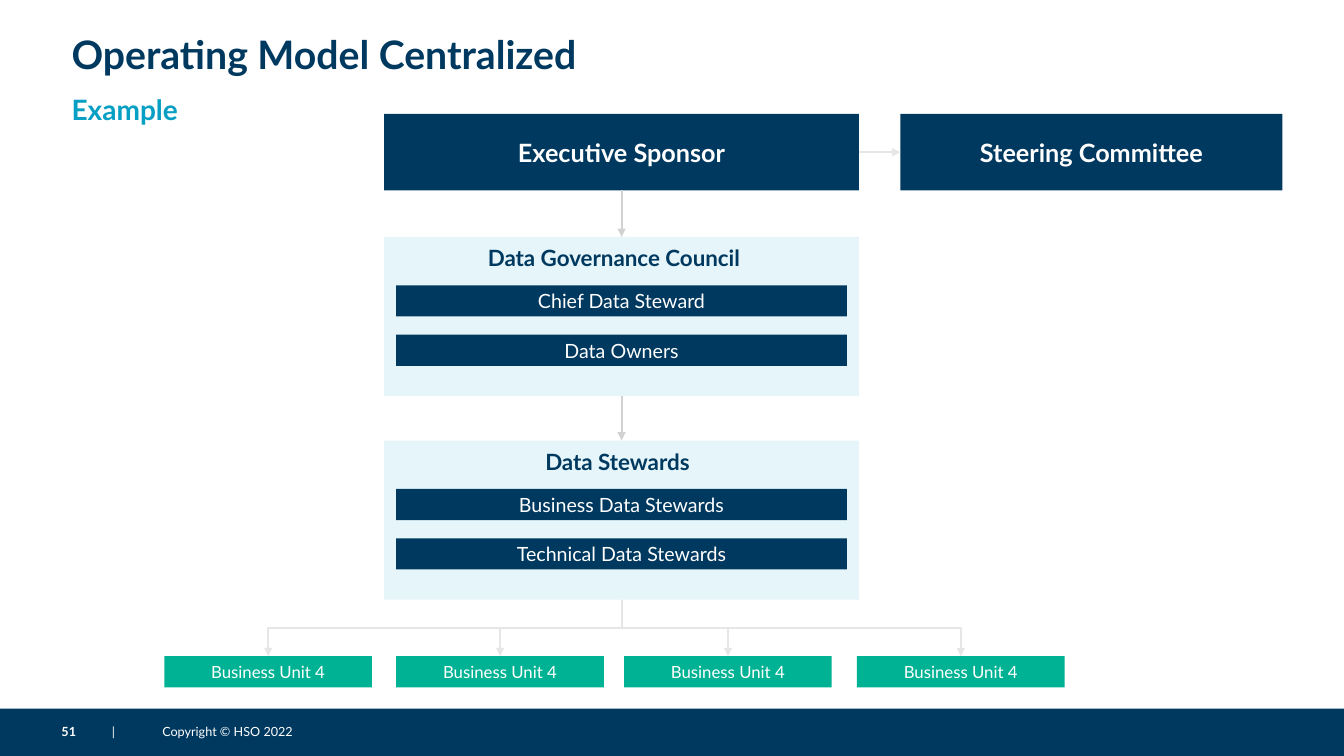
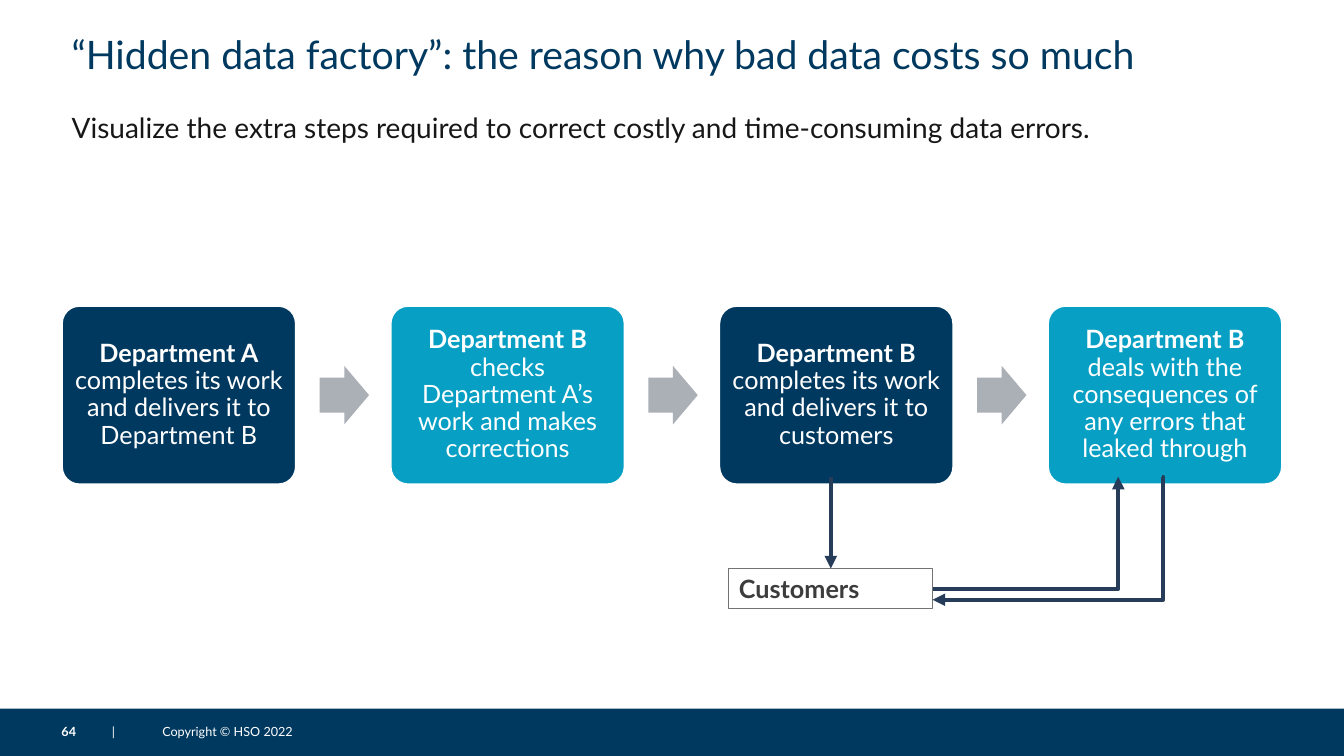
from dataclasses import dataclass
from typing import Optional

from lxml.etree import SubElement
from pptx import Presentation
from pptx.dml.color import RGBColor
from pptx.enum.shapes import MSO_CONNECTOR, MSO_SHAPE
from pptx.enum.text import MSO_ANCHOR, MSO_AUTO_SIZE, PP_ALIGN
from pptx.oxml.ns import qn
from pptx.presentation import Presentation as Deck
from pptx.shapes.autoshape import Shape
from pptx.shapes.connector import Connector
from pptx.slide import Slide
from pptx.text.text import TextFrame
from pptx.util import Inches, Pt

NAVY = RGBColor(0x00, 0x39, 0x5F)
CYAN = RGBColor(0x07, 0x9F, 0xC3)
GREEN = RGBColor(0x00, 0xB2, 0x94)
PALE_BLUE = RGBColor(0xE5, 0xF5, 0xF9)
WHITE = RGBColor(0xFF, 0xFF, 0xFF)
INK = RGBColor(0x17, 0x17, 0x17)
CHARCOAL = RGBColor(0x3C, 0x3C, 0x3C)
FRAME_GREY = RGBColor(0x73, 0x73, 0x73)
ARROW_GREY = RGBColor(0xAB, 0xAF, 0xB6)
LIGHT_GREY = RGBColor(0xE6, 0xE6, 0xE6)
MID_GREY = RGBColor(0xD2, 0xD2, 0xD2)
SLATE = RGBColor(0x26, 0x3C, 0x59)
FONT = "Lato"
LEFT_EDGE = 0.61
TOP, LEFT, BOTTOM, RIGHT = range(4)


@dataclass(frozen=True)
class Box:
    """A rectangle on the slide, in inches."""

    left: float
    top: float
    width: float
    height: float


@dataclass(frozen=True)
class Panel:
    """A group of roles under one heading."""

    heading: str
    heading_left: float
    top: float
    roles: tuple[str, ...]


@dataclass(frozen=True)
class Step:
    """A step of the process, with its department in bold."""

    department: str
    action: str
    color: RGBColor


PANELS = (
    Panel("Data Governance Council", 4.74, 2.35, ("Chief Data Steward", "Data Owners")),
    Panel("Data Stewards", 5.31, 4.37, ("Business Data Stewards", "Technical Data Stewards")),
)
UNIT_LEFTS = (1.63, 3.93, 6.19, 8.5)
STEPS = (
    Step("Department A", " completes its work and delivers it to Department B", NAVY),
    Step("Department B", " checks Department A’s work and makes corrections", CYAN),
    Step("Department B", " completes its work and delivers it to customers", NAVY),
    Step("Department B", " deals with the consequences of any errors that leaked through", CYAN),
)


def place(shape: Shape, box: Box) -> None:
    """Move and size a shape."""
    shape.left, shape.top = Inches(box.left), Inches(box.top)
    shape.width, shape.height = Inches(box.width), Inches(box.height)


def write(frame: TextFrame, text: str, *, size: float, color: RGBColor, lead: str = "",
          bold: bool = False, align: PP_ALIGN = PP_ALIGN.LEFT,
          anchor: MSO_ANCHOR = MSO_ANCHOR.MIDDLE, margins: tuple[float, float] = (0.1, 0.05),
          spacing: float = 1.0, tabs: tuple[float, ...] = ()) -> None:
    """Fill a frame with one paragraph, optionally led by bold words."""
    frame.word_wrap = True
    frame.auto_size = MSO_AUTO_SIZE.NONE
    frame.vertical_anchor = anchor
    frame.margin_left = frame.margin_right = Inches(margins[0])
    frame.margin_top = frame.margin_bottom = Inches(margins[1])
    paragraph = frame.paragraphs[0]
    properties = paragraph._p.get_or_add_pPr()
    properties.set("marL", "0")
    properties.set("indent", "0")
    SubElement(properties, qn("a:buNone"))
    if tabs:
        stops = SubElement(properties, qn("a:tabLst"))
        for position in tabs:
            SubElement(stops, qn("a:tab"), pos=str(Inches(position)), algn="l")
    paragraph.alignment = align
    paragraph.line_spacing = spacing
    paragraph.space_before = Pt(0)
    for words, is_bold in ((lead, True), (text, bold)):
        if words:
            run = paragraph.add_run()
            run.text = words
            run.font.name = FONT
            run.font.size = Pt(size)
            run.font.bold = is_bold
            run.font.color.rgb = color


def add_block(slide: Slide, box: Box, fill: Optional[RGBColor],
              kind: MSO_SHAPE = MSO_SHAPE.RECTANGLE, line: Optional[RGBColor] = None,
              line_width: float = 1) -> Shape:
    """Draw a flat preset shape."""
    block = slide.shapes.add_shape(kind, 0, 0, 0, 0)
    place(block, box)
    block.shadow.inherit = False
    if fill is None:
        block.fill.background()
    else:
        block.fill.solid()
        block.fill.fore_color.rgb = fill
    if line is None:
        block.line.fill.background()
    else:
        block.line.color.rgb = line
        block.line.width = Pt(line_width)
    return block


def add_label_block(slide: Slide, box: Box, text: str, fill: RGBColor, size: float,
                    bold: bool = False) -> Shape:
    """Draw a filled rectangle with centred white text."""
    block = add_block(slide, box, fill)
    write(block.text_frame, text, size=size, color=WHITE, bold=bold,
          align=PP_ALIGN.CENTER, margins=(0.12, 0.02))
    return block


def add_text(slide: Slide, box: Box, text: str, **style) -> None:
    """Add a text box."""
    label = slide.shapes.add_textbox(0, 0, 0, 0)
    place(label, box)
    write(label.text_frame, text, **style)


def add_arrow(slide: Slide, start: tuple[float, float], end: tuple[float, float],
              color: RGBColor, width: float, kind: MSO_CONNECTOR = MSO_CONNECTOR.STRAIGHT,
              bend: Optional[int] = None) -> Connector:
    """Draw a connector with a triangle at its end."""
    arrow = slide.shapes.add_connector(kind, *(Inches(value) for value in (*start, *end)))
    arrow.line.color.rgb = color
    arrow.line.width = Pt(width)
    properties = arrow._element.spPr
    SubElement(properties.find(qn("a:ln")), qn("a:tailEnd"), type="triangle")
    SubElement(properties, qn("a:effectLst"))
    if bend is not None:
        adjustments = properties.find(qn("a:prstGeom")).find(qn("a:avLst"))
        SubElement(adjustments, qn("a:gd"), name="adj1", fmla=f"val {bend}")
    return arrow


def join(slide: Slide, source: Shape, source_side: int, target: Shape, target_side: int,
         color: RGBColor) -> None:
    """Join two blocks with a straight arrow."""
    arrow = add_arrow(slide, (0, 0), (1, 1), color, 1.5)
    arrow.begin_connect(source, source_side)
    arrow.end_connect(target, target_side)


def add_branch(slide: Slide, start: tuple[float, float], end: tuple[float, float]) -> None:
    """Draw an elbow arrow that leaves and arrives vertically."""
    run, drop = end[0] - start[0], end[1] - start[1]
    middle_x, middle_y = start[0] + run / 2, start[1] + drop / 2
    half_drop = drop / 2 if run > 0 else -drop / 2
    branch = add_arrow(slide, (middle_x + half_drop, middle_y - abs(run) / 2),
                       (middle_x - half_drop, middle_y + abs(run) / 2),
                       LIGHT_GREY, 1.5, MSO_CONNECTOR.ELBOW)
    degrees = 270 if run > 0 else 90
    branch._element.spPr.find(qn("a:xfrm")).set("rot", str(degrees * 60000))


def start_slide(deck: Deck, title: str, number: int, bold: bool = False) -> Slide:
    """Add a slide with its title and footer band."""
    slide = deck.slides.add_slide(deck.slide_layouts[1])
    add_block(slide, Box(0, 7.03, 13.33, 0.47), NAVY)
    add_text(slide, Box(LEFT_EDGE, 7.18, 2.4, 0.15), "\t|\tCopyright © HSO 2022",
             lead=str(number), size=9, color=WHITE, margins=(0, 0), tabs=(0.24, 0.4))
    place(slide.shapes.title, Box(LEFT_EDGE, 0.26, 12.11, 0.55))
    write(slide.shapes.title.text_frame, title, size=28, color=NAVY, bold=bold,
          margins=(0.1, 0.04))
    return slide


def write_body(slide: Slide, box: Box, text: str, **style) -> None:
    """Place and fill the body placeholder."""
    body = slide.placeholders[1]
    place(body, box)
    write(body.text_frame, text, size=20, anchor=MSO_ANCHOR.TOP, **style)


def add_panel(slide: Slide, panel: Panel) -> Shape:
    """Draw a panel with its heading and role bars."""
    background = add_block(slide, Box(3.81, panel.top, 4.71, 1.58), PALE_BLUE)
    add_text(slide, Box(panel.heading_left, panel.top + 0.02, 2.84, 0.37), panel.heading,
             size=16, color=NAVY, bold=True)
    for index, role in enumerate(panel.roles):
        bar = Box(3.93, panel.top + 0.48 + index * 0.49, 4.47, 0.31)
        add_label_block(slide, bar, role, NAVY, 14)
    return background


def build_operating_model(deck: Deck) -> None:
    """Build the organisation chart."""
    slide = start_slide(deck, "Operating Model Centralized", 51, bold=True)
    write_body(slide, Box(LEFT_EDGE, 0.8, 3, 0.47), "Example", color=CYAN, bold=True,
               spacing=1.2)
    sponsor = add_label_block(slide, Box(3.81, 1.13, 4.71, 0.76), "Executive Sponsor",
                              NAVY, 18, bold=True)
    committee = add_label_block(slide, Box(8.93, 1.13, 3.79, 0.76), "Steering Committee",
                                NAVY, 18, bold=True)
    council, stewards = (add_panel(slide, panel) for panel in PANELS)
    for left in UNIT_LEFTS:
        add_label_block(slide, Box(left, 6.51, 2.06, 0.31), "Business Unit 4", GREEN, 12)
        add_branch(slide, (6.17, 5.95), (left + 1.03, 6.51))
    join(slide, sponsor, RIGHT, committee, LEFT, LIGHT_GREY)
    join(slide, sponsor, BOTTOM, council, TOP, MID_GREY)
    join(slide, council, BOTTOM, stewards, TOP, MID_GREY)


def build_hidden_factory(deck: Deck) -> None:
    """Build the process with its customer loop."""
    slide = start_slide(
        deck, "“Hidden data factory”: the reason why bad data costs so much", 64)
    write_body(slide, Box(LEFT_EDGE, 1.06, 12.11, 0.6),
               "Visualize the extra steps required to correct costly and "
               "time-consuming data errors.", color=INK, margins=(0.1, 0.04))
    for index, step in enumerate(STEPS):
        left = LEFT_EDGE + index * 3.26
        card = add_block(slide, Box(left, 3.03, 2.33, 1.78), step.color,
                         MSO_SHAPE.ROUNDED_RECTANGLE, WHITE, 2)
        card.adjustments[0] = 0.1
        write(card.text_frame, step.action, lead=step.department, size=18, color=WHITE,
              align=PP_ALIGN.CENTER, margins=(0.07, 0.07), spacing=0.9)
        if index < len(STEPS) - 1:
            pointer = add_block(slide, Box(left + 2.56, 3.63, 0.49, 0.58), ARROW_GREY,
                                MSO_SHAPE.RIGHT_ARROW)
            pointer.adjustments[0] = 0.6
    customers = add_block(slide, Box(7.23, 5.64, 2.02, 0.4), None, line=FRAME_GREY,
                          line_width=0.75)
    write(customers.text_frame, "Customers", size=18, color=CHARCOAL, bold=True)
    delivery = add_arrow(slide, (8.24, 4.73), (8.24, 5.64), SLATE, 3)
    delivery.end_connect(customers, TOP)
    add_arrow(slide, (9.25, 5.84), (11.09, 4.73), SLATE, 3, MSO_CONNECTOR.ELBOW, 100100)
    add_arrow(slide, (11.53, 4.73), (9.25, 5.95), SLATE, 3, MSO_CONNECTOR.ELBOW, -200)


def main() -> None:
    """Build and save the deck."""
    deck = Presentation()
    deck.slide_width, deck.slide_height = Inches(13.33), Inches(7.5)
    build_operating_model(deck)
    build_hidden_factory(deck)
    deck.save("out.pptx")


if __name__ == "__main__":
    main()
